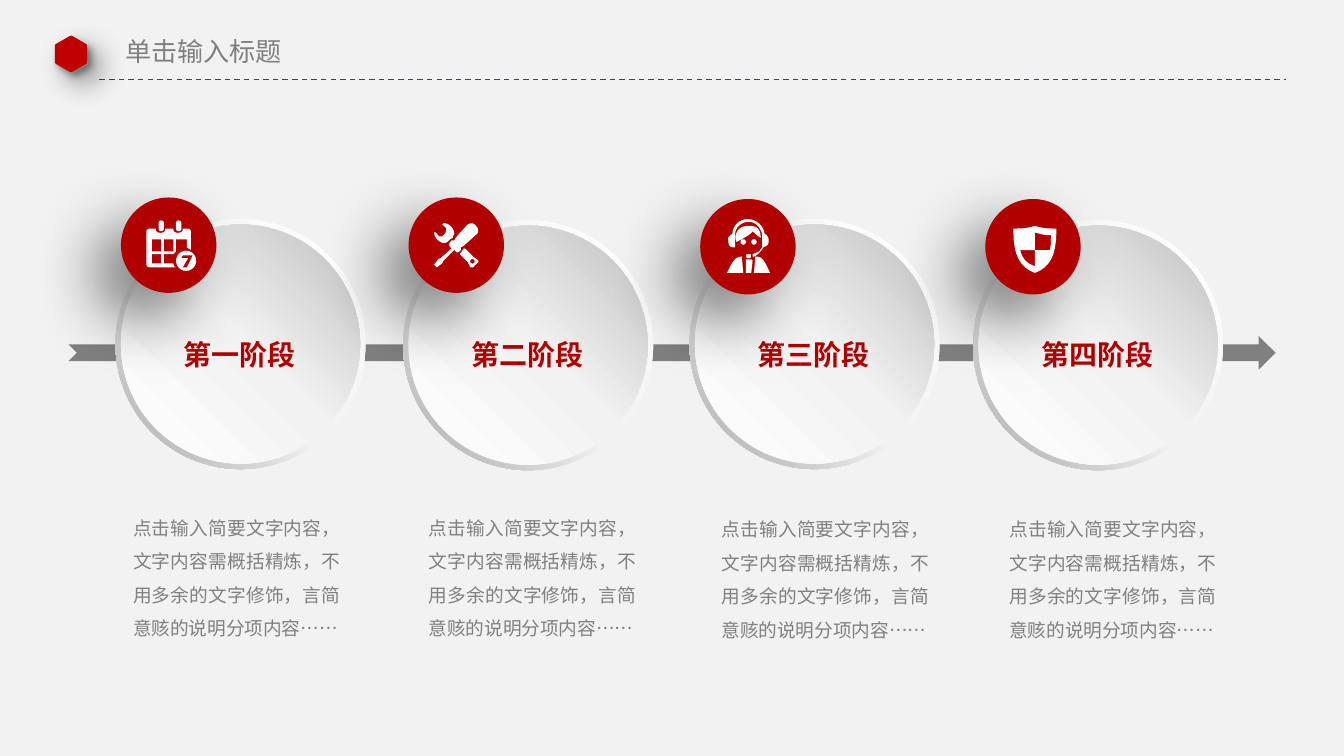
from copy import deepcopy
from math import cos, radians, sin

from pptx import Presentation
from pptx.dml.color import RGBColor
from pptx.enum.dml import MSO_LINE
from pptx.enum.shapes import MSO_CONNECTOR, MSO_SHAPE
from pptx.enum.text import MSO_ANCHOR, MSO_AUTO_SIZE, PP_ALIGN
from pptx.oxml import parse_xml
from pptx.oxml.ns import nsdecls, qn
from pptx.util import Pt

FONT = "Noto Sans CJK SC"
PAPER = RGBColor(0xF2, 0xF2, 0xF2)
WHITE = RGBColor(0xFF, 0xFF, 0xFF)
RED = RGBColor(0xB0, 0x00, 0x00)
BRIGHT = RGBColor(0xC0, 0x00, 0x00)
GRAY = RGBColor(0x80, 0x80, 0x80)
SLATE = RGBColor(0x41, 0x44, 0x55)
SILVER = RGBColor(0xD3, 0xD3, 0xD3)
PEARL = RGBColor(0xF9, 0xF9, 0xF9)
STEEL = RGBColor(0xA6, 0xA6, 0xA6)
ASH = RGBColor(0xBF, 0xBF, 0xBF)
UNIT = 0.72  # points in one icon unit
STEPS = 8  # straight pieces in one curve
BODY = "点击输入简要文字内容，文字内容需概括精炼，不用多余的文字修饰，言简意赅的说明分项内容……"

# An outline is a list of points; six numbers are a Bezier curve,
# and a lone triple is a circle of centre and radius.
CALENDAR = [
    [(22, 2), (22, -0.7, 26, -0.7, 26, 2), (26, 6), (26, 8.7, 22, 8.7, 22, 6)],
    [(9, 2), (9, -0.7, 13, -0.7, 13, 2), (13, 6), (13, 8.7, 9, 8.7, 9, 6)],
    [(3, 6), (1, 6, 0, 7, 0, 8), (0, 33), (0, 34, 1, 35, 3, 35), (22, 35),
     (21, 35, 20, 33, 20, 32), (13, 32), (13, 25), (20, 25), (22, 23), (22, 14), (30, 14),
     (30, 20), (31, 21, 32, 21, 33, 22), (33, 8), (33, 7, 32, 6, 30, 6), (27, 6), (27, 7),
     (27, 10, 20, 10, 20, 7), (20, 6), (14, 6), (14, 7), (14, 10, 7, 10, 7, 7), (7, 6)],
    [(4, 14), (11, 14), (11, 23), (4, 23)],
    [(13, 14), (20, 14), (20, 23), (13, 23)],
    [(4, 25), (11, 25), (11, 32), (4, 32)],
    [(29.5, 30, 7.5)],
    [(27, 26), (34, 26), (34, 27), (30, 35), (27, 35), (31, 28), (26, 28)],
]
TOOLS = [
    [(28.5, 28.5, 1.7)],
    [(22, 19), (20, 22), (19, 23), (25, 29), (27, 33), (29, 33), (33, 29), (33, 28),
     (29, 25), (23, 19)],
    [(12, 12), (14, 11), (14, 10), (15, 8), (15, 4, 11, 0, 7, 0), (6, 1),
     (9, 4, 9, 3, 9, 5), (9, 7, 7, 10, 5, 10), (3, 10, 4, 10, 1, 7), (0, 7),
     (0, 11, 4, 15, 8, 15), (10, 14), (11, 13)],
    [(32, 3), (30, 1), (29, 0, 27, 0, 25, 1), (16, 11), (15, 13), (13, 13), (12, 14),
     (11, 15, 11, 17, 12, 18), (13, 19), (5, 26), (3, 27), (0, 31), (2, 33), (6, 30),
     (7, 28), (15, 20), (17, 22), (19, 21), (20, 20), (20, 18), (22, 17), (32, 8),
     (33, 7, 33, 5, 32, 3)],
]
AGENT = [
    [(15.5, 0), (9, 0, 4, 5, 4, 11), (2, 12, 0, 14, 1, 16), (1, 21, 3, 21, 6, 21), (6, 11),
     (6, 7, 10, 2, 16, 2), (22, 2, 25, 7, 26, 11), (26, 21), (26, 22, 25, 22, 24, 24),
     (22, 25, 19, 26, 19, 26), (19, 28), (20, 28), (20, 28, 22, 27, 24, 25),
     (26, 23, 27, 21, 27, 21), (29, 20, 31, 20, 31, 16), (31, 14, 30, 12, 28, 11),
     (27, 5, 22, 0, 15.5, 0)],
    [(16, 5), (8, 5, 5, 11, 7, 17), (7, 17, 19, 11, 19, 9), (22, 12, 25, 14, 25, 14),
     (25, 7, 22, 5, 16, 5)],
    [(12, 17, 2)],
    [(20, 17, 2)],
    [(15, 26), (17, 26), (18, 26, 18, 29, 17, 29), (15, 29), (14, 29, 14, 26, 15, 26)],
    [(23, 28), (21, 28), (20, 40), (32, 40), (30, 36, 27, 28, 23, 28)],
    [(10, 28), (5, 28, 2, 36, 0, 40), (12, 40), (11, 28)],
    [(14, 30), (18, 30), (19, 31), (18, 40), (14, 40)],
]
SHIELD = [
    [(0, 2), (2, 2), (9, 2, 13, 1, 16, 0), (19, 1, 23, 2, 30, 2), (32, 2), (32, 4),
     (32, 22, 27, 31, 16, 35), (5, 31, 0, 22, 0, 4)],
    [(16, 18), (27, 18), (28, 15, 28, 11, 28, 7), (23, 7, 20, 6, 16, 5)],
    [(16, 30), (16, 18), (5, 18), (7, 25, 10, 28, 16, 30)],
]

# label, ring left and top, body left and top, badge left and top, icon, its left and top
STAGES = [
    ("第一阶段", 61.9, 117.4, 71.3, 270.7, 64.8, 105.8, CALENDAR, 78.5, 118.1),
    ("第二阶段", 216, 118, 229.7, 270.7, 218.9, 105.8, TOOLS, 232.6, 119.5),
    ("第三阶段", 369.4, 117.4, 386.6, 271.4, 375.1, 106.6, AGENT, 389.5, 117.4),
    ("第四阶段", 521.3, 118, 540.7, 271.4, 527.8, 106.6, SHIELD, 542.9, 121),
]


def trace(outlines, left, top):
    """Add one freeform made of all the outlines."""
    pen = None
    for line in outlines:
        dots = []
        for node in line:
            if len(node) == 2:
                dots.append(node)
            elif len(node) == 3:
                x, y, r = node
                turns = [radians(15 * i) for i in range(24)]
                dots += [(x + r * cos(t), y + r * sin(t)) for t in turns]
            else:
                a, b, c, d = dots[-1], node[:2], node[2:4], node[4:]
                for t in [i / STEPS for i in range(1, STEPS + 1)]:
                    u = 1 - t
                    dots.append([u**3 * a[k] + 3 * u * u * t * b[k]
                                 + 3 * u * t * t * c[k] + t**3 * d[k] for k in (0, 1)])
        spots = [(Pt(left + x * UNIT), Pt(top + y * UNIT)) for x, y in dots]
        if pen is None:
            pen = shapes.build_freeform(*spots[0], scale=1.0)
        else:
            pen.move_to(*spots[0])
        pen.add_line_segments(spots[1:], close=True)
    return pen.convert_to_shape()


def paint(shape, stops, angle=0, shadow=None):
    """Fill with one colour or a clockwise gradient; shadow is alpha, blur, distance, angle."""
    shape.line.fill.background()
    shape.shadow.inherit = False
    if len(stops) == 1:
        shape.fill.solid()
        shape.fill.fore_color.rgb = stops[0][1]
    else:
        shape.fill.gradient()
        shape.fill.gradient_angle = 360 - angle
        ramp = shape.element.spPr.find(".//" + qn("a:gsLst"))
        for _ in stops[2:]:
            ramp.append(deepcopy(ramp[0]))
        for stop, (place, tint) in zip(shape.fill.gradient_stops, stops):
            stop.position = place
            stop.color.rgb = tint
    if shadow:
        alpha, blur, gap, turn = shadow
        shape.element.spPr.find(qn("a:effectLst")).append(parse_xml(
            f'<a:outerShdw {nsdecls("a")} blurRad="{Pt(blur)}" dist="{Pt(gap)}" '
            f'dir="{turn * 60000}" algn="ctr" rotWithShape="0"><a:srgbClr val="000000">'
            f'<a:alpha val="{alpha * 1000}"/></a:srgbClr></a:outerShdw>'))


deck = Presentation()
deck.slide_width, deck.slide_height = Pt(720), Pt(405)
slide = deck.slides.add_slide(deck.slide_layouts[5])
slide.background.fill.solid()
slide.background.fill.fore_color.rgb = PAPER
shapes = slide.shapes

# Header
rule = shapes.add_connector(MSO_CONNECTOR.STRAIGHT, Pt(53.3), Pt(42.5), Pt(689), Pt(42.5))
rule.line.color.rgb, rule.line.width = SLATE, Pt(0.75)
rule.line.dash_style = MSO_LINE.DASH
rule.element.spPr.append(parse_xml(f'<a:effectLst {nsdecls("a")}/>'))
for size, stops, shadow in (
    (14.7, [(0, SILVER), (1, PEARL)], (40, 15, 9, 45)),
    (13.9, [(0, BRIGHT)], (40, 4, 3, 45)),
):
    tips = [(size * sin(radians(60 * i)), -size * cos(radians(60 * i))) for i in range(6)]
    edge = []
    for i, (x, y) in enumerate(tips):
        (px, py), (nx, ny) = tips[i - 1], tips[(i + 1) % 6]
        edge.append((x + 0.15 * (px - x), y + 0.15 * (py - y)))
        edge.append((x, y, x, y, x + 0.15 * (nx - x), y + 0.15 * (ny - y)))
    paint(trace([edge], 38.1, 28.9), stops, 270, shadow)

# Arrow and rings
arrow = shapes.add_shape(MSO_SHAPE.NOTCHED_RIGHT_ARROW, Pt(36.7), Pt(180), Pt(646.6), Pt(18))
paint(arrow, [(0, GRAY)])
texts = [(shapes.title, "单击输入标题", (59.8, 15.1, 99.4, 24.5), 14, GRAY, False, PP_ALIGN.LEFT)]
for label, x, y, left, top, *_ in STAGES:
    ring = shapes.add_shape(MSO_SHAPE.DONUT, Pt(x), Pt(y), Pt(133.9), Pt(133.9))
    ring.adjustments[0] = 0.05
    paint(ring, [(0, WHITE), (0.55, PAPER), (1, STEEL)], 135)
    disc = shapes.add_shape(MSO_SHAPE.OVAL, Pt(x + 2.9), Pt(y + 2.9), Pt(128.1), Pt(128.1))
    paint(disc, [(0, WHITE), (0.51, PAPER), (1, ASH)], 315)
    texts.append((None, label, (x + 29, 177.1, 74.9, 25.2), 15, RED, True, PP_ALIGN.CENTER))
    texts.append((None, BODY, (left, top, 111, 72.7), 10, GRAY, False, PP_ALIGN.JUSTIFY))

# Wording
for box, words, place, size, tint, bold, align in texts:
    spot = [Pt(n) for n in place]
    box = box or shapes.add_textbox(*spot)
    box.left, box.top, box.width, box.height = spot
    frame = box.text_frame
    frame.auto_size, frame.word_wrap = MSO_AUTO_SIZE.NONE, words == BODY
    frame.vertical_anchor = MSO_ANCHOR.MIDDLE
    para = frame.paragraphs[0]
    para.alignment = align
    if words == BODY:
        frame.vertical_anchor = MSO_ANCHOR.TOP
        frame.margin_left = frame.margin_right = frame.margin_top = frame.margin_bottom = 0
        para.line_spacing = Pt(18)
    run = para.add_run()
    run.text, font = words, run.font
    font.name, font.size, font.bold, font.color.rgb = FONT, Pt(size), bold, tint
    look = box.element.find(".//" + qn("a:rPr"))
    look.append(parse_xml(f'<a:ea {nsdecls("a")} typeface="{FONT}"/>'))

# Badges
for *_, x, y, icon, left, top in STAGES:
    badge = shapes.add_shape(MSO_SHAPE.OVAL, Pt(x), Pt(y), Pt(51.1), Pt(51.1))
    paint(badge, [(0, RED)], shadow=(50, 35, 20, 135))
    paint(trace(icon, left, top), [(0, WHITE)])
deck.save("out.pptx")
